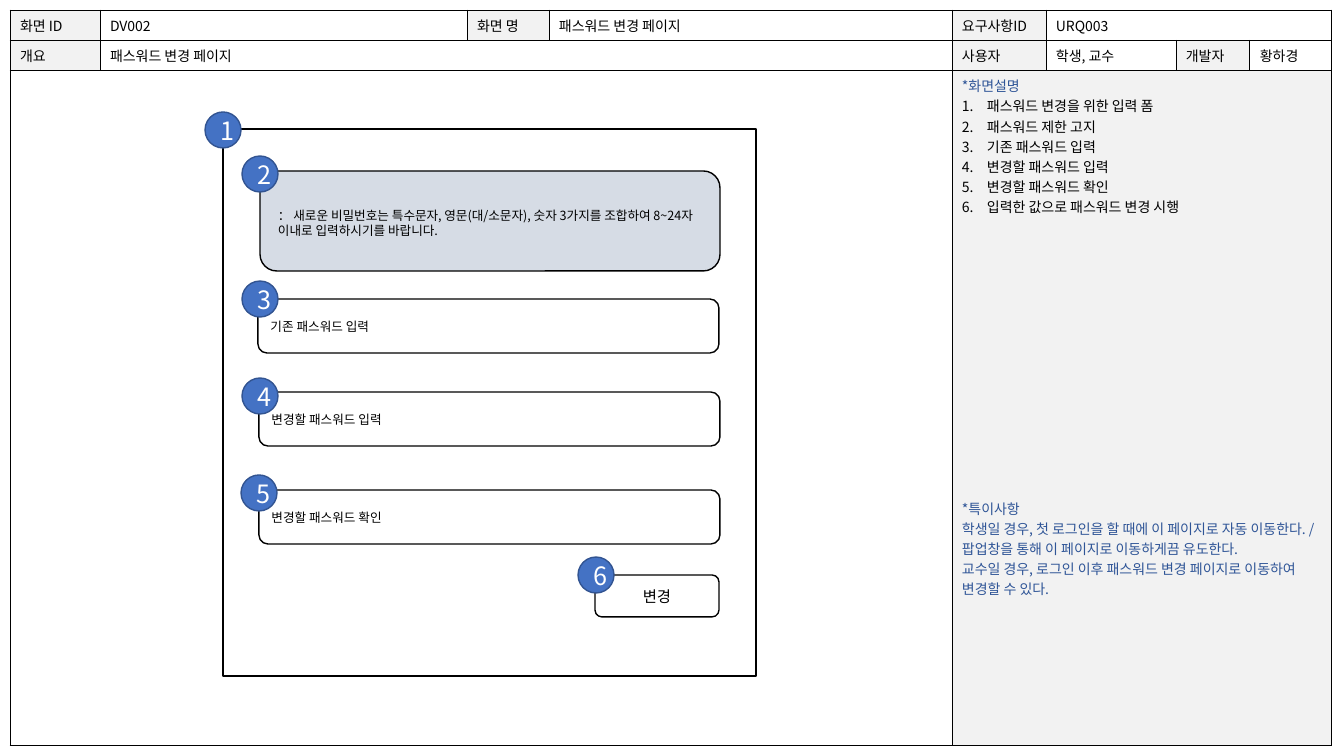
from dataclasses import dataclass
from lxml.etree import SubElement
from pptx import Presentation
from pptx.dml.color import RGBColor
from pptx.enum.shapes import MSO_SHAPE
from pptx.enum.text import MSO_ANCHOR, PP_ALIGN
from pptx.oxml import parse_xml
from pptx.oxml.ns import nsdecls, qn
from pptx.util import Pt


@dataclass(frozen=True)
class Theme:
    """Colours, font and type sizes of the screen specification."""

    font: str = "Noto Sans CJK KR"
    ink: str = "000000"
    paper: str = "FFFFFF"
    label: str = "F2F2F2"
    notice: str = "D6DCE5"
    accent: str = "2F5597"
    badge: str = "4472C4"
    badge_line: str = "325491"
    table_size: int = 10
    field_size: int = 9
    button_size: int = 11
    badge_size: int = 18


THEME = Theme()
COLUMNS = [90, 367, 82, 403, 94, 130, 74, 82]
ROWS = [30, 30, 675]
CELLS = [
    (0, 0, 1, "화면 ID", True), (0, 1, 1, "DV002", False),
    (0, 2, 1, "화면 명", True), (0, 3, 1, "패스워드 변경 페이지", False),
    (0, 4, 1, "요구사항ID", True), (0, 5, 3, "URQ003", False),
    (1, 0, 1, "개요", True), (1, 1, 3, "패스워드 변경 페이지", False),
    (1, 4, 1, "사용자", True), (1, 5, 1, "학생, 교수", False),
    (1, 6, 1, "개발자", True), (1, 7, 1, "황하경", False),
    (2, 0, 4, "", False), (2, 4, 4, "", True),
]
STEPS = [
    "패스워드 변경을 위한 입력 폼",
    "패스워드 제한 고지",
    "기존 패스워드 입력",
    "변경할 패스워드 입력",
    "변경할 패스워드 확인",
    "입력한 값으로 패스워드 변경 시행",
]
REMARKS = [
    "*특이사항",
    "학생일 경우, 첫 로그인을 할 때에 이 페이지로 자동 이동한다. / 팝업창을 통해 이 페이지로 이동하게끔 유도한다.",
    "교수일 경우, 로그인 이후 패스워드 변경 페이지로 이동하여 변경할 수 있다.",
]
REMARKS_GAP = 201
NOTICE = "： 새로운 비밀번호는 특수문자, 영문(대/소문자), 숫자 3가지를 조합하여 8~24자 이내로 입력하시기를 바랍니다."
FIELDS = [
    (35, 170, "기존 패스워드 입력", (-16, -18)),
    (36, 263, "변경할 패스워드 입력", (-17, -14)),
    (36, 361, "변경할 패스워드 확인", (-18, -15)),
]


def px(length):
    """Turn pixels into EMU."""
    return round(length * 914400 / 100.8)


def apply(target, values):
    """Set each named value on the target."""
    for name, value in values.items():
        setattr(target, name, value)


def write(para, text, size, color=THEME.ink, **layout):
    """Write one styled span into a paragraph."""
    apply(para, layout)
    span = para.add_run()
    span.text = text
    apply(span.font, {"size": Pt(size), "name": THEME.font})
    span.font.color.rgb = RGBColor.from_string(color)
    SubElement(span.font._element, qn("a:ea"), typeface=THEME.font)


def number(para):
    """Give a paragraph an automatic number with a hanging indent."""
    properties = para._p.get_or_add_pPr()
    properties.set("marL", str(px(25)))
    properties.set("indent", str(px(-25)))
    SubElement(properties, qn("a:buAutoNum"), type="arabicPeriod")


def paint_cell(cell, fill):
    """Fill a cell and rule its four sides."""
    cell.fill.solid()
    cell.fill.fore_color.rgb = RGBColor.from_string(fill)
    properties = cell._tc.get_or_add_tcPr()
    for index, side in enumerate("LRTB"):
        properties.insert(index, parse_xml(
            f'<a:ln{side} {nsdecls("a")} w="{Pt(0.5)}"><a:solidFill>'
            f'<a:srgbClr val="{THEME.ink}"/></a:solidFill></a:ln{side}>'))


def draw_table(page, left, top):
    """Place the specification table and return its description cell."""
    frame = page.shapes.add_table(len(ROWS), len(COLUMNS), px(left), px(top),
                                  px(sum(COLUMNS)), px(sum(ROWS)))
    table = frame.table
    apply(table, {"first_row": False, "horz_banding": False})
    for column, width in zip(table.columns, COLUMNS):
        column.width = px(width)
    for row, height in zip(table.rows, ROWS):
        row.height = px(height)
    for row, column, span, text, is_label in CELLS:
        for offset in range(span):
            paint_cell(table.cell(row, column + offset), THEME.label if is_label else THEME.paper)
        cell = table.cell(row, column)
        if span > 1:
            cell.merge(table.cell(row, column + span - 1))
        if text:
            write(cell.text_frame.paragraphs[0], text, THEME.table_size)
    return table.cell(2, 4)


def fill_description(cell):
    """Write the numbered steps and the remarks."""
    frame = cell.text_frame
    write(frame.paragraphs[0], "*화면설명", THEME.table_size, THEME.accent)
    for step in STEPS:
        para = frame.add_paragraph()
        number(para)
        write(para, step, THEME.table_size)
    for index, remark in enumerate(REMARKS):
        write(frame.add_paragraph(), remark, THEME.table_size, THEME.accent,
              space_before=Pt(0 if index else REMARKS_GAP))


def draw_box(page, kind, left, top, width, height, fill=THEME.paper, line=THEME.ink):
    """Place a filled, outlined shape."""
    box = page.shapes.add_shape(kind, px(left), px(top), px(width), px(height))
    box.shadow.inherit = False
    box.fill.solid()
    box.fill.fore_color.rgb = RGBColor.from_string(fill)
    box.line.color.rgb = RGBColor.from_string(line)
    box.line.width = Pt(1)
    apply(box.text_frame, {"word_wrap": True, "vertical_anchor": MSO_ANCHOR.MIDDLE})
    return box


def draw_badge(page, left, top, digit):
    """Place a round numbered marker."""
    badge = draw_box(page, MSO_SHAPE.OVAL, left, top, 36, 36, THEME.badge, THEME.badge_line)
    write(badge.text_frame.paragraphs[0], str(digit), THEME.badge_size, THEME.paper,
          alignment=PP_ALIGN.CENTER)


def draw_form(page, left, top, width, height):
    """Place the password form with its fields, button and markers."""
    draw_box(page, MSO_SHAPE.RECTANGLE, left, top, width, height)
    draw_badge(page, left - 18, top - 17, 1)

    draw_box(page, MSO_SHAPE.ROUNDED_RECTANGLE, left + 37, top + 42, 460, 100, THEME.notice)
    note = page.shapes.add_textbox(px(left + 45), px(top + 74), px(453), px(40))
    note.text_frame.word_wrap = True
    write(note.text_frame.paragraphs[0], NOTICE, THEME.field_size)
    draw_badge(page, left + 19, top + 27, 2)

    for digit, (x, y, text, (shift_x, shift_y)) in enumerate(FIELDS, 3):
        field = draw_box(page, MSO_SHAPE.ROUNDED_RECTANGLE, left + x, top + y, 461, 54)
        write(field.text_frame.paragraphs[0], text, THEME.field_size, alignment=PP_ALIGN.LEFT)
        draw_badge(page, left + x + shift_x, top + y + shift_y, digit)

    button = draw_box(page, MSO_SHAPE.ROUNDED_RECTANGLE, left + 372, top + 446, 124, 42)
    write(button.text_frame.paragraphs[0], "변경", THEME.button_size, alignment=PP_ALIGN.CENTER)
    draw_badge(page, left + 355, top + 428, 6)


def main():
    """Build and save the screen specification."""
    deck = Presentation()
    apply(deck, {"slide_width": px(1344), "slide_height": px(756)})
    page = deck.slides.add_slide(deck.slide_layouts[6])
    fill_description(draw_table(page, 10, 10))
    draw_form(page, 223, 129, 533, 547)
    deck.save("out.pptx")


if __name__ == "__main__":
    main()
